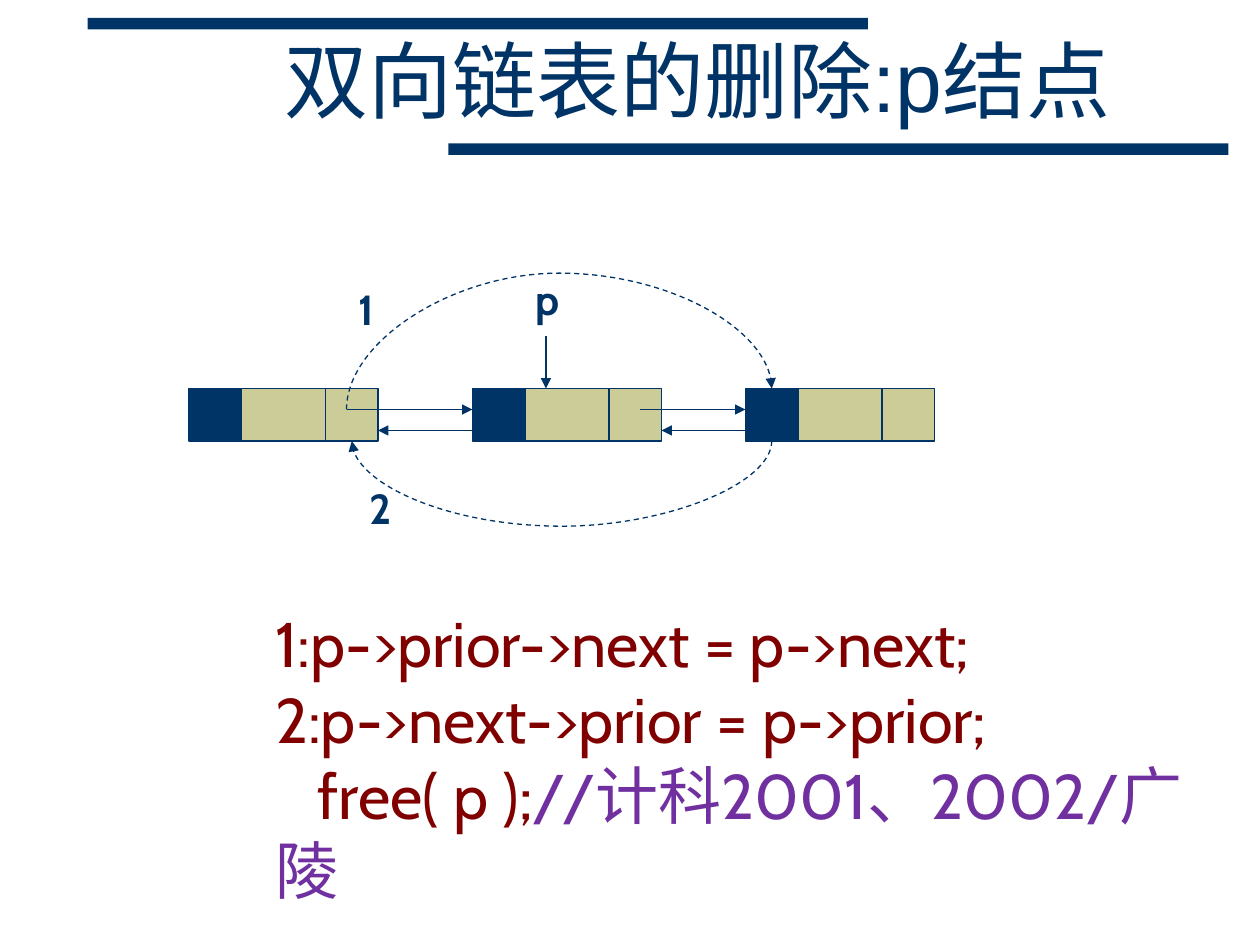
from dataclasses import dataclass

from lxml import etree
from pptx import Presentation
from pptx.dml.color import RGBColor
from pptx.enum.dml import MSO_LINE
from pptx.enum.shapes import MSO_CONNECTOR, MSO_SHAPE
from pptx.enum.text import MSO_ANCHOR, MSO_AUTO_SIZE, PP_ALIGN
from pptx.oxml.ns import qn
from pptx.util import Inches, Pt

RECT = MSO_SHAPE.RECTANGLE
STRAIGHT, CURVE = MSO_CONNECTOR.STRAIGHT, MSO_CONNECTOR.CURVE
DASH = MSO_LINE.DASH
MIDDLE, TOP = MSO_ANCHOR.MIDDLE, MSO_ANCHOR.TOP
CENTER, LEFT = PP_ALIGN.CENTER, PP_ALIGN.LEFT
GROW, FIXED = MSO_AUTO_SIZE.SHAPE_TO_FIT_TEXT, MSO_AUTO_SIZE.NONE

COLS, ROWS = 120, 90
CELLS = (5, 8, 5)
NODES = (18, 45, 71)
NODE_TOP, NODE_HIGH = 37, 5


@dataclass(frozen=True)
class Theme:
    """Colours, fonts and sizes of the slide."""
    navy: RGBColor = RGBColor.from_string("003366")
    sand: RGBColor = RGBColor.from_string("CCCC99")
    maroon: RGBColor = RGBColor.from_string("800000")
    purple: RGBColor = RGBColor.from_string("7030A0")
    head_font: str = "Arial"
    body_font: str = "Cabin"
    head: int = 48
    code: int = 36
    label: int = 24
    stroke: float = 0.75


THEME = Theme()


def grid(*units):
    """Turn grid units of a twelfth of an inch into lengths."""
    return [Inches(unit / 12) for unit in units]


def style(run, font, size, color, bold=False):
    """Format one run."""
    run.font.name, run.font.size, run.font.bold = font, Pt(size), bold
    run.font.color.rgb = color


def place(shape, *box):
    """Move and size a shape on the grid."""
    shape.left, shape.top, shape.width, shape.height = grid(*box)


def block(shapes, box, fill, edge=False):
    """Add a filled rectangle."""
    rect = shapes.add_shape(RECT, *grid(*box))
    rect.shadow.inherit = False
    rect.fill.solid()
    rect.fill.fore_color.rgb = fill
    if edge:
        rect.line.color.rgb = THEME.navy
        rect.line.width = Pt(THEME.stroke)
    else:
        rect.line.fill.background()


def node(slide, left):
    """Add a list node of three grouped cells."""
    group = slide.shapes.add_group_shape()
    for i, wide in enumerate(CELLS):
        fill = THEME.sand if i else THEME.navy
        box = (left + sum(CELLS[:i]), NODE_TOP, wide, NODE_HIGH)
        block(group.shapes, box, fill, edge=True)


def finish(link, dash=None):
    """Colour a connector and give it an arrowhead."""
    link.line.color.rgb = THEME.navy
    link.line.width = Pt(THEME.stroke)
    link.line.dash_style = dash
    ln = link.line._get_or_add_ln()
    etree.SubElement(ln, qn("a:tailEnd"), type="triangle")
    etree.SubElement(link.element.spPr, qn("a:effectLst"))


def arrow(slide, start, end):
    """Add a straight arrow."""
    finish(slide.shapes.add_connector(STRAIGHT, *grid(*start, *end)))


def arc(slide, start, end, reach):
    """Add a dashed arc that rises or sinks by reach from its start."""
    (x1, y1), (x2, y2) = start, end
    wide, high = max(abs(y2 - y1), 0.02), abs(x2 - x1)
    left, top = (x1 + x2 - wide) / 2, (y1 + y2 - high) / 2
    link = slide.shapes.add_connector(
        CURVE, *grid(left, top, left + wide, top + high))
    turn = 270 if x2 > x1 else 90
    link.element.spPr.xfrm.set("rot", str(turn * 60000))
    guides = link.element.spPr.find(qn("a:prstGeom")).get_or_add_avLst()
    etree.SubElement(guides, qn("a:gd"), name="adj1",
                     fmla=f"val {round(reach / wide * 100000)}")
    finish(link, DASH)


def label(slide, text, left, top):
    """Add a short bold label."""
    box = slide.shapes.add_textbox(*grid(left, top, 4.9, 6))
    frame = box.text_frame
    frame.word_wrap, frame.auto_size = False, GROW
    frame.text = text
    style(frame.paragraphs[0].runs[0], THEME.body_font, THEME.label,
          THEME.navy, True)


def title(slide, text):
    """Fill the title placeholder."""
    head = slide.shapes.title
    place(head, 18, 2.25, 96.9, 12)
    frame = head.text_frame
    frame.text = text
    frame.auto_size, frame.vertical_anchor = FIXED, MIDDLE
    para = frame.paragraphs[0]
    para.alignment, para.line_spacing = CENTER, 0.85
    style(para.runs[0], THEME.head_font, THEME.head, THEME.navy)


def code(slide, lines, note, indent):
    """Fill the body placeholder with code and a closing note."""
    body = slide.placeholders[1]
    place(body, 25, 57, 89.75, 30.25)
    frame = body.text_frame
    frame.text = "\n".join(lines)
    frame.auto_size, frame.vertical_anchor = GROW, TOP
    for para in frame.paragraphs:
        para.alignment, para.space_before = LEFT, Pt(0)
        props = para._p.get_or_add_pPr()
        props.set("marL", "0")
        props.set("indent", "0")
        etree.SubElement(props, qn("a:buNone"))
        style(para.runs[0], THEME.body_font, THEME.code, THEME.maroon)
    props.set("indent", str(Inches(indent)))
    run = para.add_run()
    run.text = note
    style(run, THEME.body_font, THEME.code, THEME.purple)


def main():
    """Build the slide and save it."""
    deck = Presentation()
    deck.slide_width, deck.slide_height = grid(COLS, ROWS)
    slide = deck.slides.add_slide(deck.slide_layouts[1])
    for left, top in ((8.35, 1.7), (42.7, 13.65)):
        block(slide.shapes, (left, top, 74.3, 1.1), THEME.navy)
    title(slide, "双向链表的删除:p结点")
    for left in NODES:
        node(slide, left)
    for start, end in (((33, 39), (45, 39)), ((61, 39), (71, 39)),
                       ((47, 41), (36, 41)), ((73, 41), (63, 41)),
                       ((52, 32), (52, 37))):
        arrow(slide, start, end)
    arc(slide, (33, 39), (73.5, 37), 13)
    arc(slide, (73.5, 42), (33.5, 42), 8.6)
    for text, left, top in (("p", 49.8, 25.5), ("1", 33, 26.4),
                            ("2", 34, 45.4)):
        label(slide, text, left, top)
    code(slide, ("1:p->prior->next = p->next;",
                 "2:p->next->prior = p->prior;",
                 "free( p );"), "//计科2001、2002/广陵", 0.34)
    deck.save("out.pptx")


if __name__ == "__main__":
    main()
